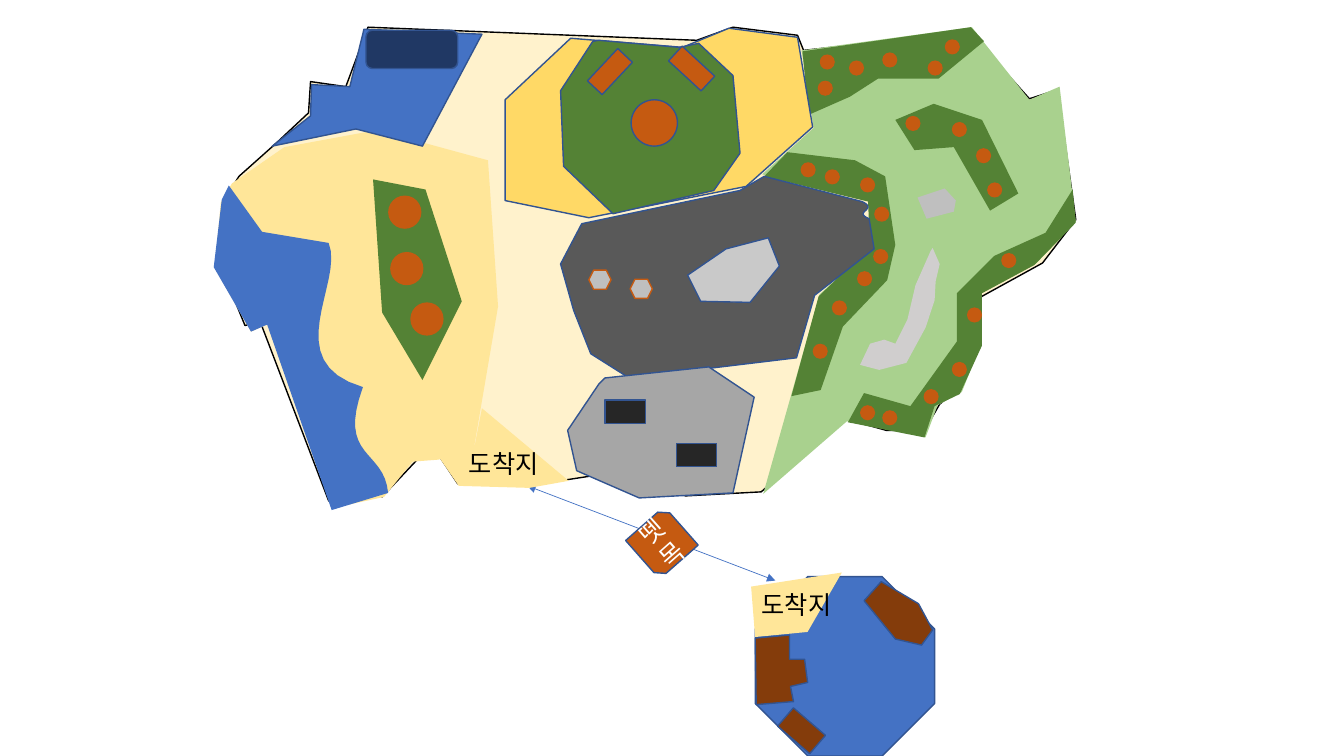
from lxml import etree
from pptx import Presentation
from pptx.dml.color import RGBColor
from pptx.enum import shapes, text
from pptx.oxml import ns
from pptx.util import Inches, Pt

BLACK = RGBColor(0x00, 0x00, 0x00)
WHITE = RGBColor(0xFF, 0xFF, 0xFF)
OUTLINE = RGBColor(0x32, 0x54, 0x91)
WATER = RGBColor(0x44, 0x72, 0xC4)
DEEP_WATER = RGBColor(0x20, 0x38, 0x64)
GROUND = RGBColor(0xFF, 0xF2, 0xCC)
SAND = RGBColor(0xFF, 0xE6, 0x99)
GOLD = RGBColor(0xFF, 0xD9, 0x66)
MEADOW = RGBColor(0xA9, 0xD1, 0x8E)
FOREST = RGBColor(0x54, 0x82, 0x35)
ORANGE = RGBColor(0xC5, 0x5A, 0x11)
BROWN = RGBColor(0x84, 0x3C, 0x0B)
ASPHALT = RGBColor(0x59, 0x59, 0x59)
CHARCOAL = RGBColor(0x26, 0x26, 0x26)
PAVEMENT = RGBColor(0xA6, 0xA6, 0xA6)
STONE = RGBColor(0xBF, 0xBF, 0xBF)
PALE_STONE = RGBColor(0xC9, 0xC9, 0xC9)
PATH_GREY = RGBColor(0xD0, 0xCE, 0xCE)
FONT = "Noto Sans CJK KR"
KIND = shapes.MSO_SHAPE
CURVE_STEPS = 16

prs = Presentation()
prs.slide_width, prs.slide_height = Inches(13.33), Inches(7.5)
slide = prs.slides.add_slide(prs.slide_layouts[6])


def paint(shape, fill, line):
    shape.shadow.inherit = False
    shape.fill.solid()
    shape.fill.fore_color.rgb = fill
    if line is None:
        shape.line.fill.background()
    else:
        shape.line.color.rgb = line
        shape.line.width = Pt(1)
    return shape


def area(corners, fill, line=None):
    """Closed outline; a corner of six numbers is a Bezier curve."""
    points = []
    for corner in corners:
        if len(corner) == 2:
            points.append(corner)
            continue
        controls = [points[-1], corner[:2], corner[2:4], corner[4:]]
        for step in range(1, CURVE_STEPS + 1):
            t = step / CURVE_STEPS
            weights = ((1 - t) ** 3, 3 * t * (1 - t) ** 2, 3 * t * t * (1 - t), t ** 3)
            points.append(tuple(sum(w * c[axis] for w, c in zip(weights, controls))
                                for axis in (0, 1)))
    outline = [(Inches(x), Inches(y)) for x, y in points]
    builder = slide.shapes.build_freeform(*outline[0], scale=1.0)
    builder.add_line_segments(outline[1:], close=True)
    return paint(builder.convert_to_shape(), fill, line)


# Small island and main land
paint(slide.shapes.add_shape(KIND.OCTAGON, *map(Inches, (7.49, 5.72, 1.78, 1.78))), WATER, OUTLINE)
area([(3.65, 0.27), (3.43, 0.86), (3.08, 0.81), (3.06, 1.12), (2.74, 1.42), (2.37, 1.75),
      (2.21, 2.01), (2.18, 2.62), (2.43, 3.23), (2.58, 3.19), (3.26, 4.97), (3.46, 4.97),
      (3.59, 4.73), (3.79, 4.93), (4.28, 4.41), (4.54, 4.8), (5.23, 4.82), (6.01, 4.7),
      (6.8, 4.92), (7.55, 4.88), (8.36, 4.15), (8.79, 4.27), (9.17, 4.27), (9.32, 4.01),
      (9.54, 3.83), (9.58, 3.24), (9.7, 3.15, 9.62, 3.03, 9.74, 2.94), (10.34, 2.61),
      (10.67, 2.18), (10.49, 0.89), (10.21, 0.98), (9.62, 0.32), (7.97, 0.5), (7.91, 0.35),
      (7.27, 0.27), (6.91, 0.4)], GROUND, BLACK)

# Raft route between the landings
route = slide.shapes.add_connector(shapes.MSO_CONNECTOR.STRAIGHT,
                                   *map(Inches, (5.23, 4.82, 7.69, 5.76)))
route.line.color.rgb = WATER
route.line.width = Pt(0.5)
route_line = route.line._get_or_add_ln()
for end in ("a:headEnd", "a:tailEnd"):
    etree.SubElement(route_line, ns.qn(end), type="triangle")
etree.SubElement(route._element.spPr, ns.qn("a:effectLst"))

# Landings and raft
main_landing = area([(4.78, 4.05), (5.64, 4.77), (5.25, 4.84), (4.55, 4.82), (4.35, 4.53),
                     (4.71, 4.41)], SAND)
main_landing.text_frame.margin_top = Inches(0.35)
island_landing = area([(8.35, 5.68), (8.01, 6.27), (7.49, 6.32), (7.45, 5.82)], SAND)
raft = paint(slide.shapes.add_shape(KIND.SNIP_2_DIAG_RECTANGLE,
                                    *map(Inches, (6.31, 5.13, 0.51, 0.51))), ORANGE, OUTLINE)
raft.rotation = 318.6
for place, label, color in ((main_landing, "도착지", BLACK), (island_landing, "도착지", BLACK),
                            (raft, "뗏목", WHITE)):
    frame = place.text_frame
    frame.word_wrap = True
    frame.vertical_anchor = text.MSO_ANCHOR.MIDDLE
    paragraph = frame.paragraphs[0]
    paragraph.alignment = text.PP_ALIGN.CENTER
    run = paragraph.add_run()
    run.text = label
    run.font.size = Pt(18)
    run.font.name = FONT
    run.font.color.rgb = color
    etree.SubElement(run.font._element, ns.qn("a:ea"), typeface=FONT)

# Meadow and its forest belts
area([(7.95, 0.5), (8.07, 1.27), (7.56, 1.73), (8.62, 1.99), (8.65, 2.45), (8.13, 2.92),
      (7.57, 4.9), (8.4, 4.18), (9.18, 4.34), (9.3, 4.02), (9.54, 3.89), (9.74, 3.39),
      (9.74, 2.88), (10.28, 2.61), (10.67, 2.2), (10.51, 0.86), (10.21, 0.99), (9.64, 0.27)],
     MEADOW)
for belt in (
    [(8.02, 1.14), (8.43, 0.96), (8.71, 0.78), (9.31, 0.78), (9.76, 0.41), (9.63, 0.27),
     (7.96, 0.51)],
    [(8.88, 1.19), (9.07, 1.49), (9.46, 1.46), (9.82, 2.09), (10.1, 1.92), (9.74, 1.19),
     (9.26, 1.03)],
    [(8.41, 4.19), (8.57, 3.9), (9.03, 4.03), (9.49, 3.39), (9.49, 2.91), (9.86, 2.54),
     (10.37, 2.31), (10.64, 1.88), (10.67, 2.21), (10.26, 2.63), (9.74, 2.91), (9.74, 3.43),
     (9.52, 3.91), (9.27, 4.03), (9.17, 4.34)],
    [(7.81, 1.51), (8.48, 1.59), (8.78, 1.75), (8.88, 2.43), (8.8, 2.78), (8.36, 3.24),
     (8.14, 3.87), (7.85, 3.93), (8.12, 2.94), (8.63, 2.45), (8.61, 2), (7.58, 1.75)],
):
    area(belt, FOREST)

# Trees in the belts
for left, top in (
    (7.94, 1.61), (8.18, 1.68), (8.53, 1.76), (8.67, 2.05), (8.66, 2.47), (8.5, 2.69),
    (8.25, 2.98), (8.06, 3.41), (8.11, 0.8), (8.13, 0.54), (8.42, 0.6), (8.75, 0.52),
    (9.2, 0.6), (9.37, 0.39), (8.98, 1.15), (9.44, 1.21), (9.68, 1.47), (9.79, 1.81),
    (9.93, 2.51), (9.59, 3.05), (9.44, 3.59), (9.16, 3.86), (8.75, 4.07), (8.53, 4.02),
):
    paint(slide.shapes.add_shape(KIND.OVAL, *map(Inches, (left, top, 0.15, 0.15))), ORANGE, None)

# Rock and stone path in the meadow
area([(9.1, 1.96), (9.19, 2.17), (9.46, 2.1), (9.48, 1.99), (9.37, 1.87)], STONE)
area([(9.25, 2.46), (9.32, 2.62), (9.28, 2.79), (9.27, 2.98), (9.18, 3.25), (8.99, 3.6),
      (8.72, 3.67), (8.53, 3.62), (8.63, 3.41), (8.77, 3.37), (8.88, 3.41), (9, 3.17),
      (9.08, 2.83), (9.23, 2.49)], PATH_GREY)

# Golden field with its green
area([(5.66, 0.38), (5.01, 0.99), (5.01, 1.99), (5.84, 2.16), (7.4, 1.85), (8.06, 1.26),
      (7.91, 0.37), (7.23, 0.28), (6.77, 0.47)], GOLD, OUTLINE)
area([(5.88, 0.41), (5.56, 0.9), (5.59, 1.65), (6.08, 2.12), (7.08, 1.89), (7.34, 1.52),
      (7.27, 0.75), (6.93, 0.43), (6.74, 0.47), (5.94, 0.4)], FOREST, OUTLINE)

# Beach, sea and grove
area([(2.67, 3.21), (3.3, 5.04), (3.81, 4.93), (4.09, 4.58), (4.35, 4.56), (4.7, 4.45),
      (4.94, 3.04), (4.84, 1.59), (3.74, 1.29), (2.82, 1.46), (2.3, 1.82), (2.19, 2.01),
      (2.13, 2.66), (2.49, 3.29)], SAND)
area([(2.27, 1.84), (2.6, 2.3), (3.26, 2.41), (3.42, 2.8, 2.75, 3.59, 3.6, 3.84),
      (3.34, 4.55, 3.81, 4.45, 3.85, 4.89), (3.29, 5.06), (2.65, 3.22), (2.49, 3.29),
      (2.12, 2.65), (2.2, 1.98)], WATER)
area([(3.7, 1.78), (3.79, 3.1), (4.19, 3.77), (4.58, 2.99), (4.22, 1.88)], FOREST)

# Paved yards
area([(5.77, 2.22), (5.56, 2.62), (5.69, 3.08), (5.86, 3.51), (6.24, 3.75), (7.9, 3.55),
      (8.08, 2.93), (8.67, 2.47), (8.62, 2.17), (8.45, 2.1, 8.72, 2.08, 8.55, 2),
      (7.58, 1.75), (7.34, 1.89)], ASPHALT, OUTLINE)
area([(7.2, 2.47), (6.82, 2.73), (6.95, 2.99), (7.44, 3), (7.73, 2.64), (7.62, 2.36)],
     PALE_STONE, OUTLINE)
area([(5.94, 3.81), (5.63, 4.27), (5.72, 4.67), (6.34, 4.94), (7.27, 4.89), (7.48, 3.94),
      (7.03, 3.64), (6, 3.75)], PAVEMENT, OUTLINE)

# Island buildings
area([(8.74, 5.77), (8.57, 5.96), (8.88, 6.34), (9.14, 6.4), (9.25, 6.25), (9.11, 5.99)],
     BROWN, OUTLINE)
area([(7.49, 6.33), (7.5, 6.99), (7.87, 6.96), (7.84, 6.81), (8.01, 6.77), (7.98, 6.54),
      (7.83, 6.54), (7.83, 6.3)], BROWN, OUTLINE)

# North lake
area([(4.78, 0.34), (4.19, 1.45), (3.53, 1.28), (2.7, 1.45), (3.08, 1.15), (3.09, 0.84),
      (3.47, 0.86), (3.61, 0.29)], WATER, OUTLINE)

# Fixtures on the areas: kind, box, turn, fill, line
for kind, box, turn, fill, line in (
    (KIND.RECTANGLE, (5.83, 0.61, 0.44, 0.2), 313.2, ORANGE, OUTLINE),
    (KIND.RECTANGLE, (6.64, 0.58, 0.44, 0.2), 42.7, ORANGE, OUTLINE),
    (KIND.OVAL, (6.26, 0.99, 0.46, 0.46), 0, ORANGE, OUTLINE),
    (KIND.OVAL, (3.85, 1.94, 0.33, 0.33), 0, ORANGE, None),
    (KIND.OVAL, (3.87, 2.5, 0.33, 0.33), 0, ORANGE, None),
    (KIND.OVAL, (4.07, 3, 0.33, 0.33), 0, ORANGE, None),
    (KIND.HEXAGON, (6.25, 2.77, 0.22, 0.19), 0, STONE, ORANGE),
    (KIND.HEXAGON, (5.84, 2.68, 0.22, 0.19), 0, STONE, ORANGE),
    (KIND.RECTANGLE, (6, 3.97, 0.4, 0.23), 0, CHARCOAL, OUTLINE),
    (KIND.RECTANGLE, (6.71, 4.4, 0.4, 0.23), 0, CHARCOAL, OUTLINE),
    (KIND.RECTANGLE, (7.74, 7.13, 0.42, 0.24), 40.7, BROWN, OUTLINE),
    (KIND.ROUNDED_RECTANGLE, (3.63, 0.3, 0.91, 0.38), 0, DEEP_WATER, OUTLINE),
):
    fixture = paint(slide.shapes.add_shape(kind, *map(Inches, box)), fill, line)
    fixture.rotation = turn

prs.save("out.pptx")
